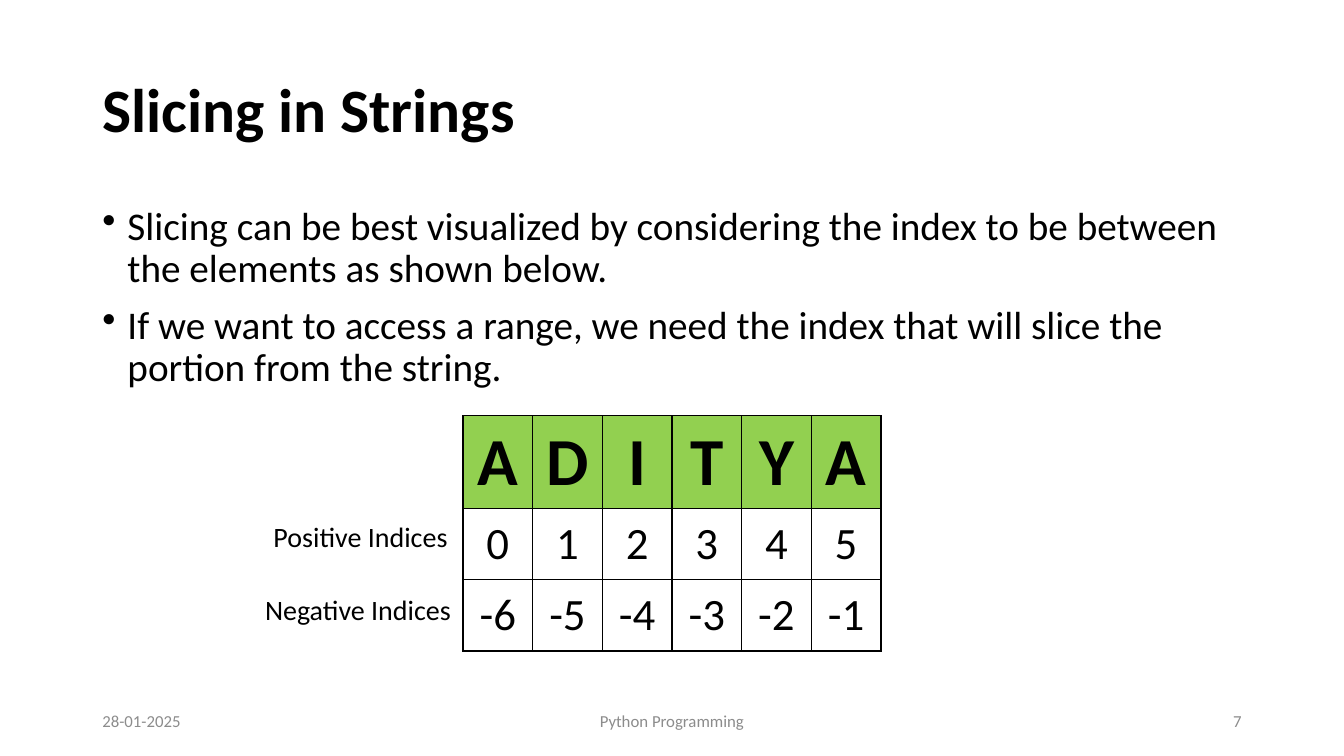
import dataclasses

import pptx
import pptx.dml.color
import pptx.enum.text
import pptx.oxml
import pptx.oxml.ns
import pptx.util

PX = 9525  # EMU per px, 96 px to the inch
ALIGN = pptx.enum.text.PP_ALIGN
ANCHOR = pptx.enum.text.MSO_ANCHOR


@dataclasses.dataclass(frozen=True)
class Theme:
    font: str = "Calibri"
    ink: str = "000000"
    muted: str = "8C8C8C"
    letter_fill: str = "92D050"
    title: int = 44
    body: int = 28
    letter: int = 48
    index: int = 32
    label: int = 20
    footer: int = 12
    border: int = 1


THEME = Theme()
WORD = "ADITYA"


def px(length):
    return pptx.util.Emu(round(length * PX))


def style(paragraph, size, color=THEME.ink, bold=False, align=ALIGN.LEFT):
    paragraph.alignment = align
    font = paragraph.font
    font.name, font.size, font.bold = THEME.font, pptx.util.Pt(size), bold
    font.color.rgb = pptx.dml.color.RGBColor.from_string(color)


def add_text(slide, box, text, size, anchor=ANCHOR.MIDDLE, **look):
    frame = slide.shapes.add_textbox(*map(px, box)).text_frame
    frame.word_wrap = True
    frame.vertical_anchor = anchor
    frame.text = text
    for paragraph in frame.paragraphs:
        style(paragraph, size, **look)
    return frame


def add_title(slide, box):
    frame = add_text(slide, box, "Slicing in Strings", THEME.title, bold=True)
    frame.paragraphs[0].line_spacing = 0.9


def add_points(slide, box):
    points = (
        "Slicing can be best visualized by considering the index to be between the elements as shown below.",
        "If we want to access a range, we need the index that will slice the portion from the string.",
    )
    frame = add_text(slide, box, "", THEME.body, anchor=ANCHOR.TOP)
    for number, point in enumerate(points):
        paragraph = frame.add_paragraph() if number else frame.paragraphs[0]
        paragraph.text = point
        paragraph.line_spacing = 0.9
        if number:
            paragraph.space_before = pptx.util.Pt(10)
        properties = paragraph._p.get_or_add_pPr()
        properties.set("marL", str(px(24)))
        properties.set("indent", str(px(-24)))
        bullet = pptx.oxml.parse_xml(f'<a:buChar {pptx.oxml.ns.nsdecls("a")} char="•"/>')
        properties.append(bullet)
        style(paragraph, THEME.body)


def add_borders(cell):
    """Draw all four sides; the lines precede the fill in the cell's XML."""
    properties = cell._tc.get_or_add_tcPr()
    for place, side in enumerate(("lnL", "lnR", "lnT", "lnB")):
        line = pptx.oxml.parse_xml(
            f'<a:{side} {pptx.oxml.ns.nsdecls("a")} w="{pptx.util.Pt(THEME.border)}">'
            f'<a:solidFill><a:srgbClr val="{THEME.ink}"/></a:solidFill></a:{side}>')
        properties.insert(place, line)


def add_index_table(slide, box):
    """Letters of the word above their positive and negative indices."""
    left, top, width, height = box
    index_height = 68
    count = len(WORD)
    rows = (WORD, range(count), range(-count, 0))
    table = slide.shapes.add_table(len(rows), count, *map(px, box)).table
    table.first_row = table.horz_banding = False
    for column in table.columns:
        column.width = px(width / count)
    for r, values in enumerate(rows):
        is_letters = r == 0
        table.rows[r].height = px(height - 2 * index_height if is_letters else index_height)
        for c, value in enumerate(values):
            cell = table.cell(r, c)
            cell.text = str(value)
            cell.vertical_anchor = ANCHOR.MIDDLE
            style(cell.text_frame.paragraphs[0], THEME.letter if is_letters else THEME.index,
                  bold=is_letters, align=ALIGN.CENTER)
            if is_letters:
                cell.fill.solid()
                cell.fill.fore_color.rgb = pptx.dml.color.RGBColor.from_string(THEME.letter_fill)
            else:
                cell.fill.background()
            add_borders(cell)

    labels = (("Positive Indices", 190, 190), ("Negative Indices", 198, 205))
    first_label_top = top + height - 2 * index_height + 6
    for row, (label, offset, label_width) in enumerate(labels):
        label_top = first_label_top + row * (index_height + 2)
        add_text(slide, (left - offset, label_top, label_width, 42), label,
                 THEME.label, anchor=ANCHOR.TOP)


def add_footer(slide, box):
    left, top, width, height = box
    side, middle = 288, 432
    parts = (
        ("28-01-2025", left, side, ALIGN.LEFT),
        ("Python Programming", left + (width - middle) / 2, middle, ALIGN.CENTER),
        ("7", left + width - side, side, ALIGN.RIGHT),
    )
    for text, part_left, part_width, align in parts:
        add_text(slide, (part_left, top, part_width, height), text, THEME.footer,
                 color=THEME.muted, align=align)


def main():
    deck = pptx.Presentation()
    deck.slide_width, deck.slide_height = px(1280), px(720)
    slide = deck.slides.add_slide(deck.slide_layouts[6])
    add_title(slide, (88, 38, 1104, 139))
    add_points(slide, (88, 192, 1104, 204))
    add_footer(slide, (88, 667, 1104, 38))
    add_index_table(slide, (441, 396, 398, 224))
    deck.save("out.pptx")


if __name__ == "__main__":
    main()
